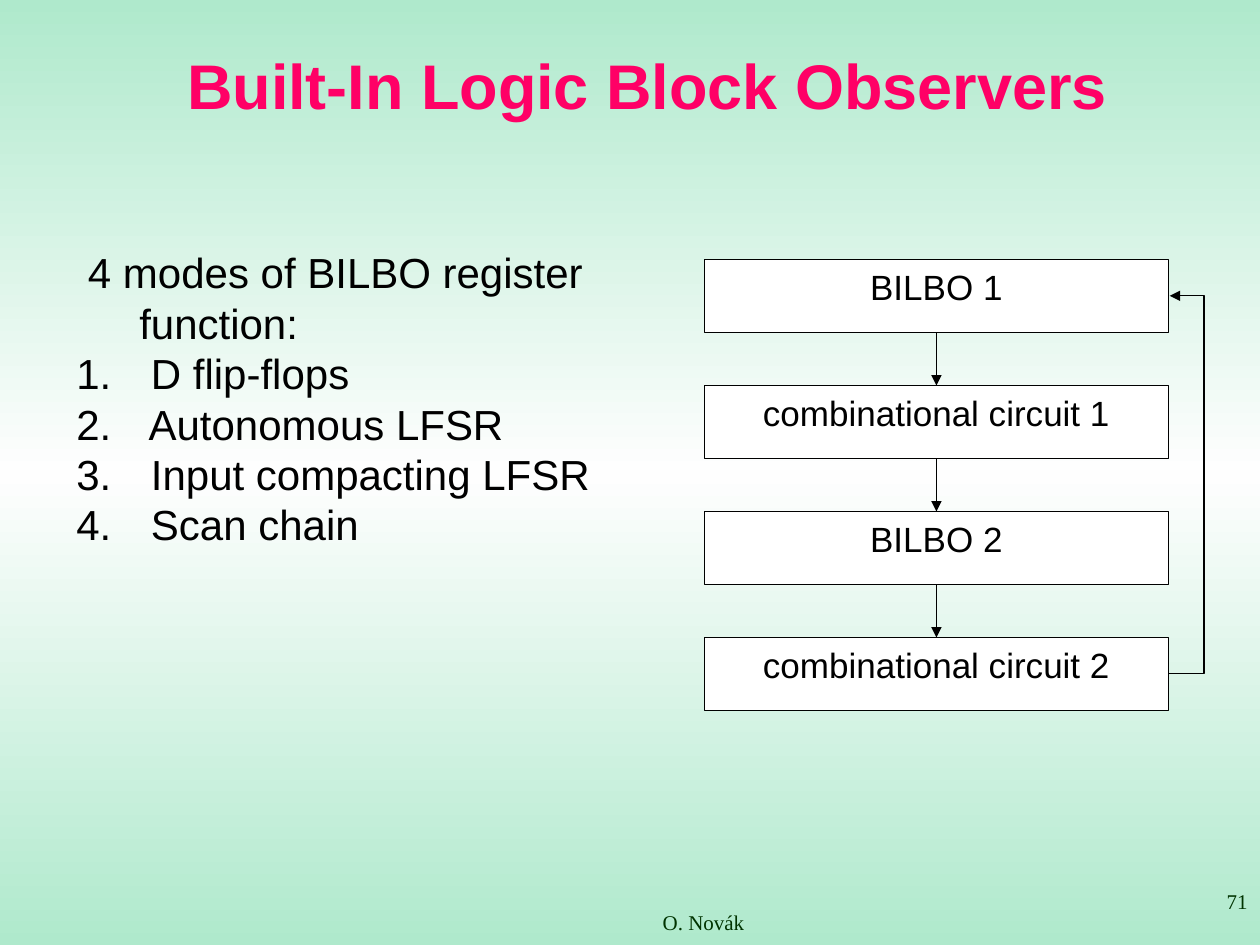
"""Build the slide about built-in logic block observers."""
from copy import deepcopy

from lxml.etree import SubElement
from pptx import Presentation
from pptx.dml.color import RGBColor
from pptx.enum.shapes import MSO_CONNECTOR, MSO_SHAPE
from pptx.enum.text import MSO_ANCHOR, PP_ALIGN
from pptx.oxml.ns import qn
from pptx.util import Pt


def color(value):
    return RGBColor.from_string(value)


def write(box, text, font="Arial", size=24, fill="000000", bold=False,
          align=PP_ALIGN.LEFT, anchor=MSO_ANCHOR.TOP, spacing=None, hanging=0, numbered_from=None):
    frame = box.text_frame
    frame.word_wrap = True
    frame.vertical_anchor = anchor
    for index, line in enumerate(text.split("\n")):
        para = frame.add_paragraph() if index else frame.paragraphs[0]
        para.alignment = align
        if spacing:
            para.line_spacing = Pt(spacing)
        properties = para._p.get_or_add_pPr()
        if hanging:
            properties.set("marL", str(Pt(hanging)))
            properties.set("indent", str(-Pt(hanging)))
        if numbered_from is not None and index >= numbered_from:
            SubElement(properties, qn("a:buFont"), typeface=font)
            SubElement(properties, qn("a:buAutoNum"), type="arabicPeriod")
        span = para.add_run()
        span.text = line
        span.font.name = font
        span.font.size = Pt(size)
        span.font.bold = bold
        span.font.color.rgb = color(fill)


deck = Presentation()
deck.slide_width, deck.slide_height = Pt(720), Pt(540)
page = deck.slides.add_slide(deck.slide_layouts[6])

background = page.background.fill
background.gradient()
background.gradient_angle = 90
stop_list = page._element.find(".//" + qn("a:gsLst"))
stop_list.append(deepcopy(stop_list[0]))
for stop, position, shade in zip(background.gradient_stops, (0, 0.5, 1), ("AFE9CC", "FEFEFE", "AFE9CC")):
    stop.position = position
    stop.color.rgb = color(shade)

title = page.shapes.add_textbox(Pt(64), Pt(23), Pt(612), Pt(50.4))
write(title, "Built-In Logic Block Observers", size=36, fill="FF0066", bold=True,
      align=PP_ALIGN.CENTER, anchor=MSO_ANCHOR.BOTTOM)

modes = page.shapes.add_textbox(Pt(36.5), Pt(137.5), Pt(328.5), Pt(180))
write(modes, " 4 modes of BILBO register function:\n D flip-flops\n Autonomous LFSR\n"
      " Input compacting LFSR\n Scan chain", spacing=28.8, hanging=36, numbered_from=1)

left, top, width, height, pitch = 402.5, 148.3, 265.2, 41.6, 72
right, center, middle = left + width, left + width / 2, top + height / 2
blocks = ["BILBO 1", "combinational circuit 1", "BILBO 2", "combinational circuit 2"]
routes = []
for index, label in enumerate(blocks):
    y = top + index * pitch
    block = page.shapes.add_shape(MSO_SHAPE.RECTANGLE, Pt(left), Pt(y), Pt(width), Pt(height))
    block.shadow.inherit = False
    block.fill.solid()
    block.fill.fore_color.rgb = color("FFFFFF")
    block.line.color.rgb = color("000000")
    block.line.width = Pt(0.75)
    write(block, label, size=20, align=PP_ALIGN.CENTER, spacing=24)
    if index:
        routes.append((MSO_CONNECTOR.STRAIGHT, center, y - pitch + height, center, y))

span_x, feedback_reach = 0.72, 20.7
routes.append((MSO_CONNECTOR.ELBOW, right, middle + 3 * pitch, right + span_x, middle))
for kind, *ends in routes:
    arrow = page.shapes.add_connector(kind, *map(Pt, ends))
    arrow.line.color.rgb = color("000000")
    arrow.line.width = Pt(0.75)
    SubElement(arrow.line._get_or_add_ln(), qn("a:tailEnd"), type="triangle")
    SubElement(arrow._element.spPr, qn("a:effectLst"))
    if kind == MSO_CONNECTOR.ELBOW:
        guides = arrow._element.spPr.find(".//" + qn("a:avLst"))
        SubElement(guides, qn("a:gd"), name="adj1", fmla=f"val {round(feedback_reach / span_x * 100000)}")

footers = [("O. Novák", (288, 516, 228, 18), PP_ALIGN.CENTER),
           ("71", (570, 504, 150, 36), PP_ALIGN.RIGHT)]
for text, place, align in footers:
    footer = page.shapes.add_textbox(*map(Pt, place))
    write(footer, text, font="Times New Roman", size=12, fill="003300", align=align)

deck.save("out.pptx")
